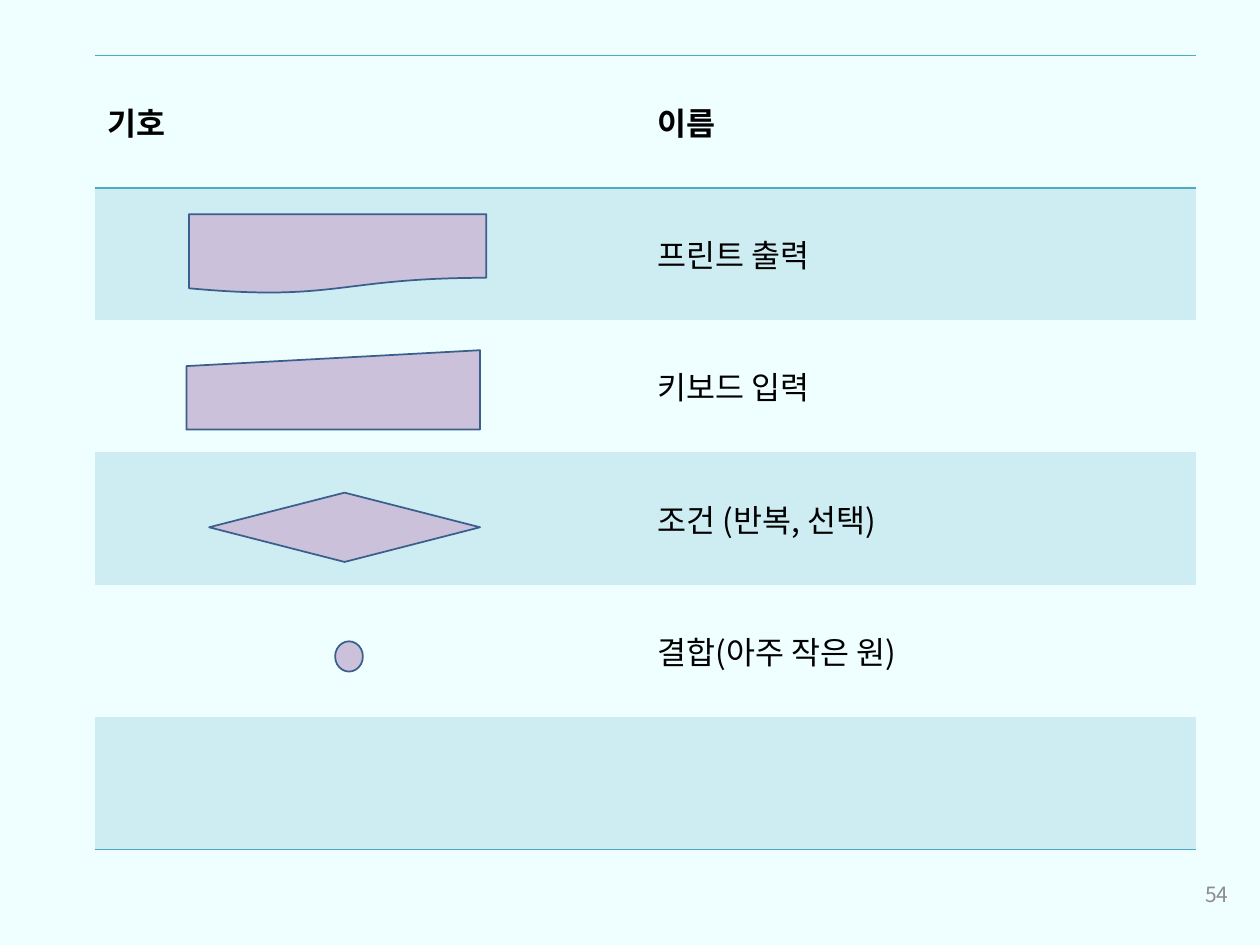
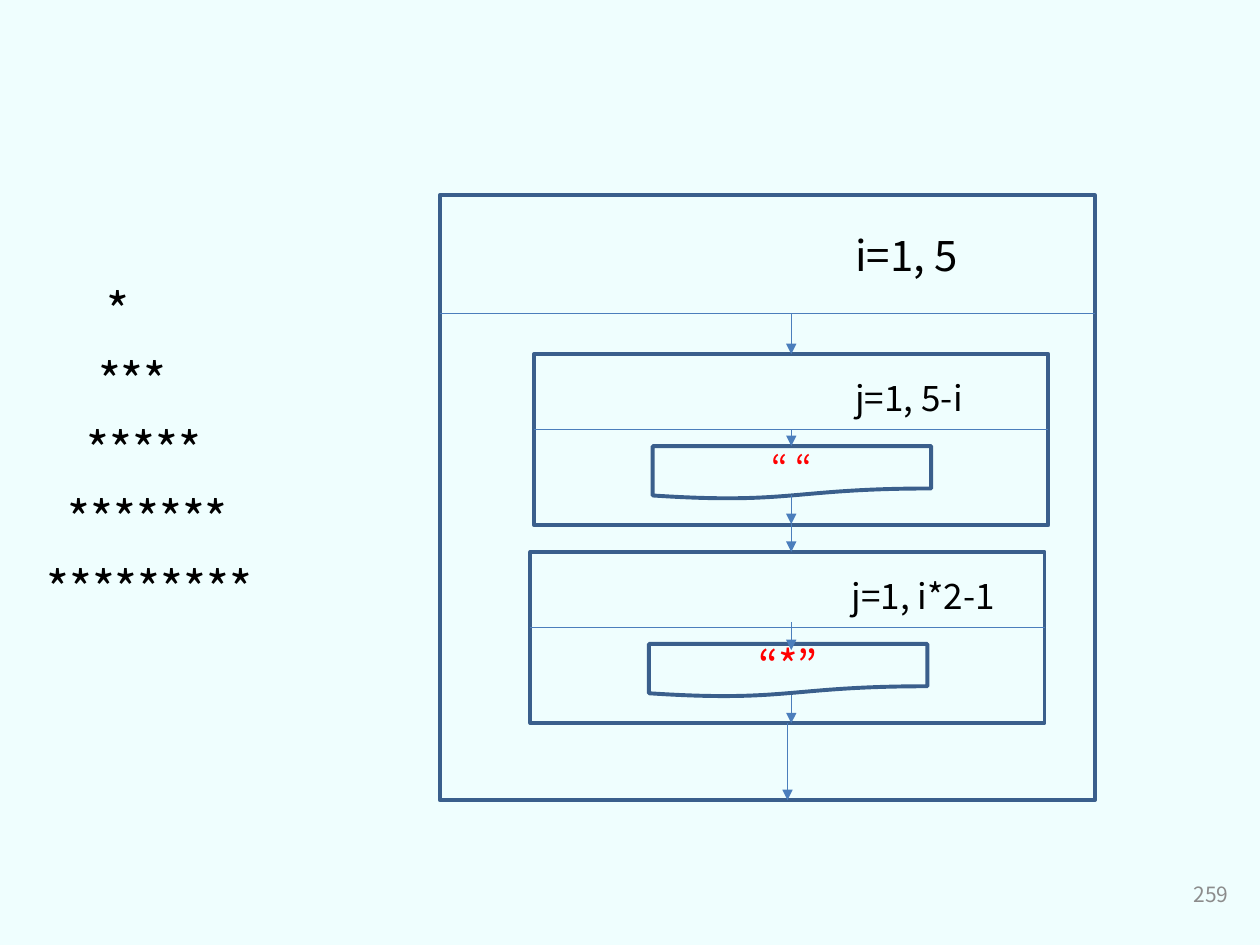
from lxml import etree
from pptx import Presentation
from pptx import util as u
from pptx.dml.color import RGBColor
from pptx.enum import shapes, text
from pptx.oxml.ns import qn

FONT = "Noto Sans CJK KR"
BACKGROUND, BAND, RULE = "EFFEFE", "CEEDF2", "4BACC6"
SYMBOL_FILL, OUTLINE, FLOW = "CCC1DA", "3A5F8C", "4B7EBC"
BLACK, GREY, RED = "000000", "8C8C8C", "FF0000"
NO_TABLE_STYLE = "{2D5ABB26-0587-4C30-8999-92F81FD0307C}"
PRESET = shapes.MSO_SHAPE


def color(value):
    return RGBColor.from_string(value)


def write(frame, words, size=18, ink=BLACK, bold=False,
          align=text.PP_ALIGN.LEFT, anchor=text.MSO_ANCHOR.TOP):
    """Put one formatted line of text into a text frame."""
    frame.word_wrap = True
    frame.vertical_anchor = anchor
    paragraph = frame.paragraphs[0]
    paragraph.alignment = align
    run = paragraph.add_run()
    run.text = words
    run.font.name = FONT
    run.font.size = u.Pt(size)
    run.font.bold = bold
    run.font.color.rgb = color(ink)
    # East Asian glyphs need their own typeface entry
    etree.SubElement(run.font._element, qn("a:ea"), typeface=FONT)


class Deck:
    def __init__(self):
        self.prs = Presentation()
        self.prs.slide_width = u.Inches(10)
        self.prs.slide_height = u.Inches(7.5)
        self.slide = None

    def new_slide(self, number):
        self.slide = self.prs.slides.add_slide(self.prs.slide_layouts[6])
        fill = self.slide.background.fill
        fill.solid()
        fill.fore_color.rgb = color(BACKGROUND)
        self.label(7.52, 6.9, 2.33, 0.4, str(number), size=12, ink=GREY,
                   align=text.PP_ALIGN.RIGHT, anchor=text.MSO_ANCHOR.MIDDLE)

    def label(self, left, top, width, height, words, **style):
        box = self.slide.shapes.add_textbox(*map(u.Inches, (left, top, width, height)))
        write(box.text_frame, words, **style)

    def shape(self, preset, left, top, width, height, fill=None, weight=2.25):
        shape = self.slide.shapes.add_shape(
            preset, *map(u.Inches, (left, top, width, height)))
        shape.shadow.inherit = False
        if fill:
            shape.fill.solid()
            shape.fill.fore_color.rgb = color(fill)
        else:
            shape.fill.background()
        shape.line.color.rgb = color(OUTLINE)
        shape.line.width = u.Pt(weight)
        return shape

    def line(self, x1, y1, x2, y2, arrow=False):
        line = self.slide.shapes.add_connector(
            shapes.MSO_CONNECTOR.STRAIGHT, *map(u.Inches, (x1, y1, x2, y2)))
        line.line.color.rgb = color(FLOW)
        line.line.width = u.Pt(0.75)
        if arrow:
            etree.SubElement(line.line._get_or_add_ln(), qn("a:tailEnd"), type="triangle")
        etree.SubElement(line._element.spPr, qn("a:effectLst"))

    def table(self, rows, left, top, column_width, row_height):
        count, columns = len(rows), len(rows[0])
        grid = self.slide.shapes.add_table(
            count, columns, u.Inches(left), u.Inches(top),
            u.Inches(column_width * columns), u.Inches(row_height * count)).table
        grid._tbl.tblPr.find(qn("a:tableStyleId")).text = NO_TABLE_STYLE
        for column in grid.columns:
            column.width = u.Inches(column_width)
        for r, words_in_row in enumerate(rows):
            grid.rows[r].height = u.Inches(row_height)
            for c, words in enumerate(words_in_row):
                cell = grid.cell(r, c)
                cell.vertical_anchor = text.MSO_ANCHOR.MIDDLE
                if r % 2:
                    cell.fill.solid()
                    cell.fill.fore_color.rgb = color(BAND)
                else:
                    cell.fill.background()
                if words:
                    write(cell.text_frame, words, bold=r == 0,
                          anchor=text.MSO_ANCHOR.MIDDLE)
                # Rules above and below the header and under the last row
                if r in (0, count - 1):
                    self.border(cell, "a:lnB")
                if r == 0:
                    self.border(cell, "a:lnT")

    def border(self, cell, side):
        edge = etree.Element(qn(side), w=str(u.Pt(1)))
        solid = etree.SubElement(edge, qn("a:solidFill"))
        etree.SubElement(solid, qn("a:srgbClr"), val=RULE)
        cell._tc.get_or_add_tcPr().insert(0, edge)

    def loop(self, left, top, width, height, head):
        """A loop block: a frame with a line under its heading."""
        self.shape(PRESET.RECTANGLE, left, top, width, height)
        self.line(left, top + head, left + width, top + head)

    def output(self, left, top, words, size):
        symbol = self.shape(PRESET.FLOWCHART_DOCUMENT, left, top, 2.21, 0.42)
        write(symbol.text_frame, words, size=size, ink=RED,
              align=text.PP_ALIGN.CENTER, anchor=text.MSO_ANCHOR.MIDDLE)


def symbols_slide(deck):
    deck.new_slide(54)
    deck.table([("기호", "이름"),
                ("", "프린트 출력"),
                ("", "키보드 입력"),
                ("", "조건 (반복, 선택)"),
                ("", "결합(아주 작은 원)"),
                ("", "")], 0.75, 0.44, 4.37, 1.05)
    for preset, *place in (
            (PRESET.FLOWCHART_DOCUMENT, 1.5, 1.7, 2.36, 0.63),
            (PRESET.FLOWCHART_MANUAL_INPUT, 1.48, 2.78, 2.33, 0.63),
            (PRESET.FLOWCHART_DECISION, 1.66, 3.91, 2.15, 0.55),
            (PRESET.FLOWCHART_CONNECTOR, 2.66, 5.09, 0.22, 0.24)):
        deck.shape(preset, *place, fill=SYMBOL_FILL, weight=1)


def star_pyramid_slide(deck):
    deck.new_slide(259)

    # Printed result: one more pair of stars on each row
    for row, left in enumerate((0.75, 0.68, 0.59, 0.44, 0.27)):
        deck.label(left, 2.18 + 0.55 * row, 2.36, 0.57, "*" * (2 * row + 1), size=28)

    # Outer loop over rows
    deck.loop(3.49, 1.55, 5.2, 4.8, head=0.94)
    deck.label(6.69, 1.77, 2.76, 0.5, "i=1, 5", size=24)

    # Inner loops: spaces, then stars
    for left, top, condition, printed, size in (
            (4.24, 2.81, "j=1, 5-i", "“ “", 20),
            (4.21, 4.38, "j=1, i*2-1", "“*”", 24)):
        deck.loop(left, top, 4.08, 1.36, head=0.6)
        deck.label(left + 2.45, top + 0.13, 2.76, 0.44, condition, size=20)
        deck.output(left + 0.94, top + 0.73, printed, size)

    # Flow from step to step
    for x, start, end in ((6.28, 2.49, 2.81), (6.28, 3.41, 3.54), (6.28, 3.93, 4.16),
                          (6.28, 4.16, 4.38), (6.28, 4.94, 5.16), (6.28, 5.52, 5.74),
                          (6.25, 5.74, 6.35)):
        deck.line(x, start, x, end, arrow=True)


def main():
    deck = Deck()
    symbols_slide(deck)
    star_pyramid_slide(deck)
    deck.prs.save("out.pptx")


if __name__ == "__main__":
    main()
